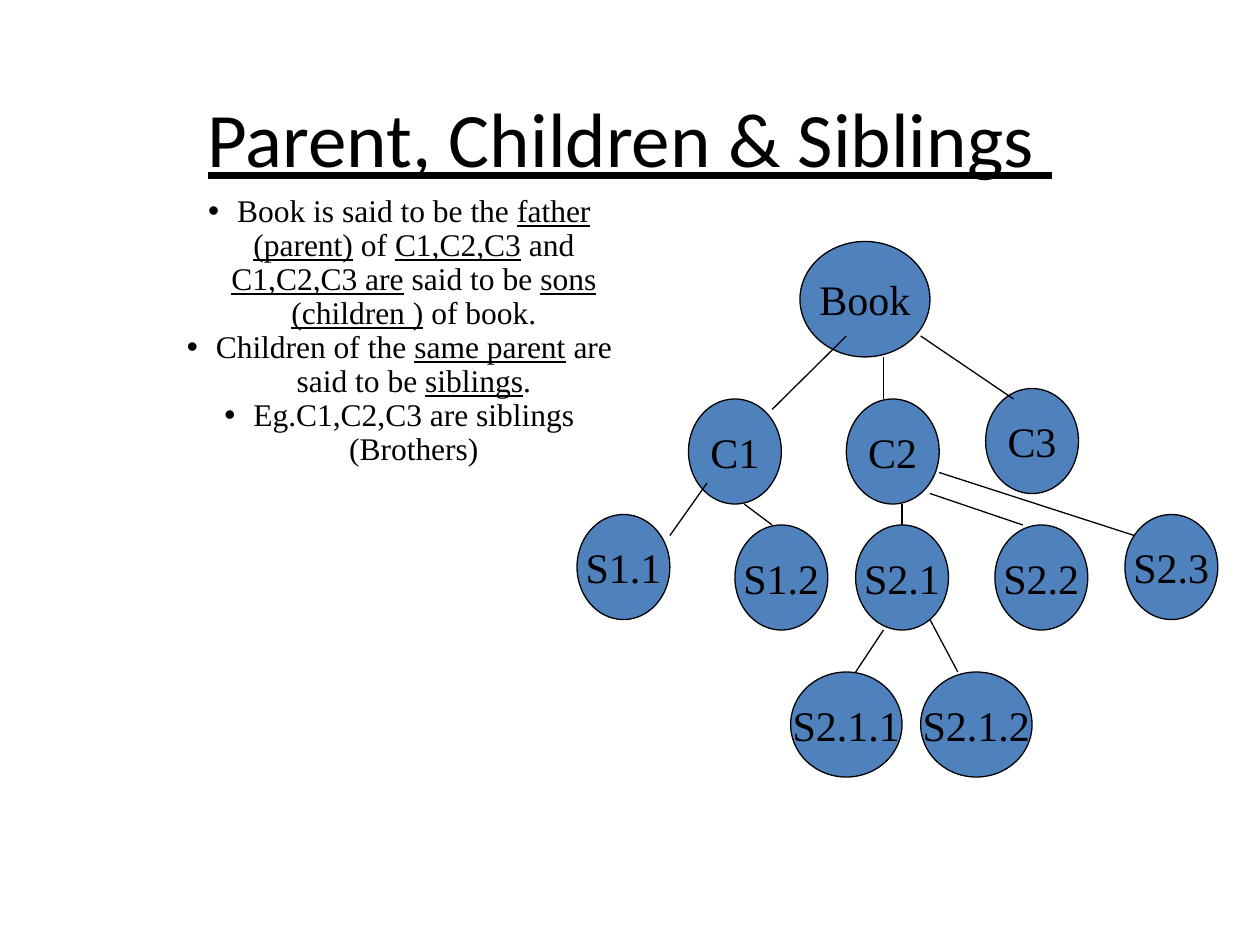
from lxml import etree
from pptx import Presentation
from pptx import util as u
from pptx.dml.color import RGBColor
from pptx.enum import shapes, text
from pptx.oxml.ns import qn

SERIF = "Times New Roman"
BLACK = "000000"
BLUE = "4F81BD"

# The tree sits on a grid: columns count from its left edge, rows from the slide top.
TREE_LEFT = 4.58
COLUMN = 0.0737
ROW = 1 / 12


def color(hex_value):
    return RGBColor.from_string(hex_value)


def grid(column, row):
    """Slide position of a grid point."""
    return u.Inches(TREE_LEFT + column * COLUMN), u.Inches(row * ROW)


presentation = Presentation()
presentation.slide_width = u.Inches(10)
presentation.slide_height = u.Inches(7.5)
slide = presentation.slides.add_slide(presentation.slide_layouts[6])

# Title
title = slide.shapes.add_textbox(u.Inches(0.75), u.Inches(0.67), u.Inches(8.5), u.Inches(1.25))
title.text_frame.word_wrap = True
title.text_frame.margin_top = u.Inches(0.05)
paragraph = title.text_frame.paragraphs[0]
paragraph.text = "Parent, Children & Siblings "
paragraph.alignment = text.PP_ALIGN.CENTER
paragraph.font.size = u.Pt(44)
paragraph.font.name = "Calibri"
paragraph.font.underline = True
paragraph.font.color.rgb = color(BLACK)

# Bullets: every second piece of a line is underlined
bullets = [
    ["Book is said to be the ", "father (parent)", " of ", "C1,C2,C3", " and ",
     "C1,C2,C3 are", " said to be ", "sons (children )", " of book."],
    ["Children of the ", "same parent", " are said to be ", "siblings", "."],
    ["Eg.C1,C2,C3 are siblings (Brothers)"],
]
body = slide.shapes.add_textbox(u.Inches(1.17), u.Inches(1.5), u.Inches(4), u.Inches(1.72))
body.text_frame.word_wrap = True
for number, pieces in enumerate(bullets):
    paragraph = body.text_frame.add_paragraph() if number else body.text_frame.paragraphs[0]
    paragraph.alignment = text.PP_ALIGN.CENTER
    paragraph.line_spacing = 0.9
    properties = paragraph._p.get_or_add_pPr()
    properties.set("marL", str(u.Inches(0.23)))
    properties.set("indent", str(-u.Inches(0.23)))
    etree.SubElement(properties, qn("a:buFont"), typeface="Arial")
    etree.SubElement(properties, qn("a:buChar"), char="•")
    paragraph.font.size = u.Pt(18)
    paragraph.font.name = SERIF
    paragraph.font.color.rgb = color(BLACK)
    for index, piece in enumerate(pieces):
        run = paragraph.add_run()
        run.text = piece
        if index % 2:
            run.font.underline = True

# Tree nodes: label, column, row, columns wide, rows high
nodes = [
    ("Book", 24, 23, 14, 11),
    ("C1", 12, 38, 10, 10),
    ("C2", 29, 38, 10, 10),
    ("C3", 44, 37, 10, 10),
    ("S1.1", 0, 49, 10, 10),
    ("S1.2", 17, 50, 10, 10),
    ("S2.1", 30, 50, 10, 10),
    ("S2.2", 45, 50, 10, 10),
    ("S2.3", 59, 49, 10, 10),
    ("S2.1.1", 23, 64, 12, 10),
    ("S2.1.2", 37, 64, 12, 10),
]
for label, column, row, wide, high in nodes:
    node = slide.shapes.add_shape(shapes.MSO_SHAPE.OVAL, *grid(column, row),
                                  u.Inches(wide * COLUMN), u.Inches(high * ROW))
    node.shadow.inherit = False
    node.fill.solid()
    node.fill.fore_color.rgb = color(BLUE)
    node.line.color.rgb = color(BLACK)
    node.line.width = u.Pt(0.75)
    node.text_frame.word_wrap = False
    node.text_frame.vertical_anchor = text.MSO_ANCHOR.MIDDLE
    paragraph = node.text_frame.paragraphs[0]
    paragraph.text = label
    paragraph.alignment = text.PP_ALIGN.CENTER
    paragraph.font.size = u.Pt(24)
    paragraph.font.name = SERIF
    paragraph.font.color.rgb = color(BLACK)

# Branches: start and end as (column, row)
branches = [
    ((29, 32), (21, 39)),
    ((33, 34), (33, 38)),
    ((37, 32), (47, 38)),
    ((14, 46), (10, 51)),
    ((18, 48), (21, 50)),
    ((35, 48), (35, 50)),
    ((38, 47), (48, 50)),
    ((39, 45), (60, 51)),
    ((33, 60), (30, 64)),
    ((38, 59), (41, 64)),
]
for start, end in branches:
    branch = slide.shapes.add_connector(shapes.MSO_CONNECTOR.STRAIGHT, *grid(*start), *grid(*end))
    branch.line.color.rgb = color(BLACK)
    branch.line.width = u.Pt(0.75)
    etree.SubElement(branch._element.spPr, qn("a:effectLst"))

presentation.save("out.pptx")
